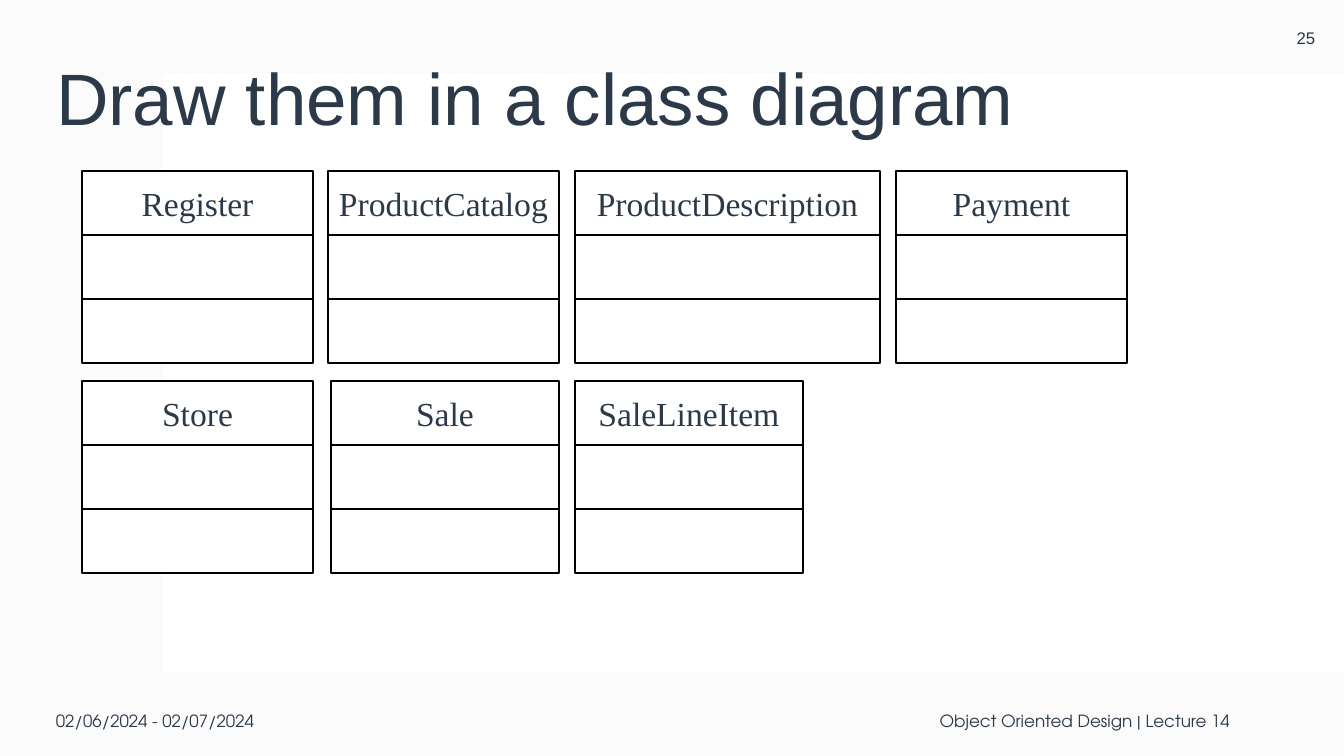
from lxml.etree import SubElement
from pptx import Presentation
from pptx.dml.color import RGBColor
from pptx.enum.shapes import MSO_SHAPE as Preset
from pptx.enum.text import MSO_ANCHOR as Anchor, MSO_AUTO_SIZE as AutoSize, PP_ALIGN as Align
from pptx.oxml.ns import qn
from pptx.util import Emu, Pt

SLIDE_WIDTH, SLIDE_HEIGHT = 1344, 756
EMU_PER_PX = 914400 / 100.8
COLORS = {"backdrop": "F4F4F4", "paper": "FFFFFF", "ink": "2C3948", "line": "000000"}
TITLE_FONT, FOOTER_FONT, CLASS_FONT = "Arial", "TeX Gyre Adventor", "Times New Roman"

COMPARTMENT_HEIGHT = 64
CLASS_ROWS = {  # top: (name, left, width)
    171: [("Register", 82, 231), ("ProductCatalog", 328, 231),
          ("ProductDescription", 575, 305), ("Payment", 896, 231)],
    381: [("Store", 82, 231), ("Sale", 331, 228), ("SaleLineItem", 575, 228)],
}


def px(length):
    return Emu(round(length * EMU_PER_PX))


def color(name):
    return RGBColor.from_string(COLORS[name])


def write(shape, text, font, size, align=Align.LEFT):
    frame = shape.text_frame
    frame.word_wrap = True
    frame.auto_size = AutoSize.NONE
    frame.vertical_anchor = Anchor.MIDDLE
    paragraph = frame.paragraphs[0]
    paragraph.alignment = align
    run = paragraph.add_run()
    run.text = text
    run.font.name = font
    run.font.size = Pt(size)
    run.font.color.rgb = color("ink")
    return paragraph


def add_rectangle(shapes, left, top, width, height, fill):
    rectangle = shapes.add_shape(Preset.RECTANGLE, px(left), px(top), px(width), px(height))
    rectangle.shadow.inherit = False
    rectangle.fill.solid()
    rectangle.fill.fore_color.rgb = color(fill)
    rectangle.line.fill.background()
    return rectangle


def add_backdrop(slide):
    frame = add_rectangle(slide.shapes, 0, 0, SLIDE_WIDTH, SLIDE_HEIGHT, "backdrop")
    fill_color = frame.fill._xPr.find(qn("a:solidFill"))[0]
    SubElement(fill_color, qn("a:alpha"), val="35000")
    add_rectangle(slide.shapes, 163, 74, SLIDE_WIDTH - 163, 598, "paper")


def add_title(slide, text):
    """Fill the title placeholder and bring it in front of the backdrop."""
    title = slide.shapes.title
    title.left, title.top, title.width, title.height = px(46), px(40), px(1191), px(124)
    write(title, text, TITLE_FONT, 52).line_spacing = 0.9
    slide.shapes._spTree.append(title._element)


def add_label(slide, text, left, top, width, height, font, align):
    label = slide.shapes.add_textbox(px(left), px(top), px(width), px(height))
    write(label, text, font, 12, align)


def add_class_box(slide, name, left, top, width):
    """Group the name, attribute and operation compartments of a class."""
    group = slide.shapes.add_group_shape()
    for row, text in enumerate((name, "", "")):
        compartment = add_rectangle(group.shapes, left, top + row * COMPARTMENT_HEIGHT,
                                    width, COMPARTMENT_HEIGHT, "paper")
        compartment.line.color.rgb = color("line")
        compartment.line.width = Pt(1)
        if text:
            frame = compartment.text_frame
            frame.margin_left = frame.margin_right = 0
            write(compartment, text, CLASS_FONT, 24, Align.CENTER)


def main():
    presentation = Presentation()
    presentation.slide_width, presentation.slide_height = px(SLIDE_WIDTH), px(SLIDE_HEIGHT)
    slide = presentation.slides.add_slide(presentation.slide_layouts[5])

    add_backdrop(slide)
    add_title(slide, "Draw them in a class diagram")
    add_label(slide, "25", 1268, 0, 76, 76, TITLE_FONT, Align.CENTER)
    add_label(slide, "02/06/2024 - 02/07/2024", 46, 685, 302, 71, FOOTER_FONT, Align.LEFT)
    add_label(slide, "Object Oriented Design | Lecture 14", 415, 685, 825, 71,
              FOOTER_FONT, Align.RIGHT)
    for top, classes in CLASS_ROWS.items():
        for name, left, width in classes:
            add_class_box(slide, name, left, top, width)

    presentation.save("out.pptx")


if __name__ == "__main__":
    main()
